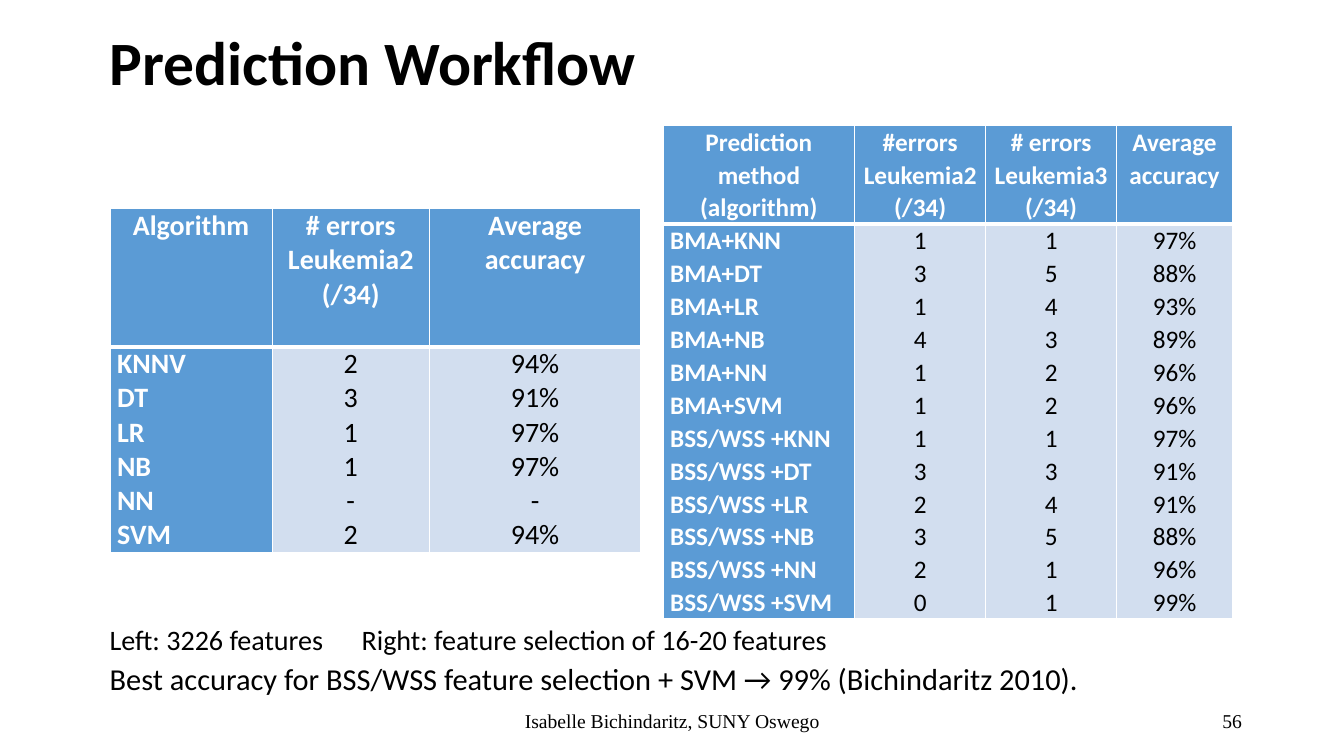
from dataclasses import dataclass

from lxml import etree
from pptx import Presentation
from pptx.dml.color import RGBColor
from pptx.enum.text import MSO_ANCHOR, MSO_AUTO_SIZE, PP_ALIGN
from pptx.oxml.ns import qn
from pptx.util import Cm, Pt

LEFT, CENTER, RIGHT = PP_ALIGN.LEFT, PP_ALIGN.CENTER, PP_ALIGN.RIGHT
TOP, MIDDLE, BOTTOM = MSO_ANCHOR.TOP, MSO_ANCHOR.MIDDLE, MSO_ANCHOR.BOTTOM


@dataclass(frozen=True)
class Theme:
    font: str = "Calibri"
    footer_font: str = "Times New Roman"
    black: str = "000000"
    white: str = "FFFFFF"
    header_fill: str = "5B9BD5"
    value_fill: str = "D2DEEF"
    title_size: float = 44
    caption_size: float = 20.1
    conclusion_size: float = 21.7
    baseline_table_size: float = 20
    selection_table_size: float = 18
    footer_size: float = 14
    thin_border: float = 1
    header_border: float = 3


THEME = Theme()

BASELINE_HEADERS = ["Algorithm", "# errors\nLeukemia2\n(/34)", "Average accuracy"]
BASELINE_ROWS = [
    ("KNNV", "2", "94%"),
    ("DT", "3", "91%"),
    ("LR", "1", "97%"),
    ("NB", "1", "97%"),
    ("NN", "-", "-"),
    ("SVM", "2", "94%"),
]
SELECTION_HEADERS = [
    "Prediction method (algorithm)",
    "#errors\nLeukemia2\n(/34)",
    "# errors\nLeukemia3\n(/34)",
    "Average accuracy",
]
SELECTION_ROWS = [
    ("BMA+KNN", "1", "1", "97%"),
    ("BMA+DT", "3", "5", "88%"),
    ("BMA+LR", "1", "4", "93%"),
    ("BMA+NB", "4", "3", "89%"),
    ("BMA+NN", "1", "2", "96%"),
    ("BMA+SVM", "1", "2", "96%"),
    ("BSS/WSS +KNN", "1", "1", "97%"),
    ("BSS/WSS +DT", "3", "3", "91%"),
    ("BSS/WSS +LR", "2", "4", "91%"),
    ("BSS/WSS +NB", "3", "5", "88%"),
    ("BSS/WSS +NN", "2", "1", "96%"),
    ("BSS/WSS +SVM", "0", "1", "99%"),
]


def place(shape, left, top, width, height):
    shape.left, shape.top = Cm(left), Cm(top)
    shape.width, shape.height = Cm(width), Cm(height)


def format_paragraph(paragraph, size, color=THEME.black, bold=False,
                     font=THEME.font, align=LEFT, line_spacing=1.0):
    paragraph.alignment = align
    paragraph.line_spacing = line_spacing
    for run in paragraph.runs:
        run.font.name = font
        run.font.size = Pt(size)
        run.font.bold = bold
        run.font.color.rgb = RGBColor.from_string(color)


def set_frame(text_frame, anchor):
    text_frame.word_wrap = True
    text_frame.auto_size = MSO_AUTO_SIZE.NONE
    text_frame.vertical_anchor = anchor


def fill_title(title, text):
    place(title, 2.51, 0, 29.03, 2.62)
    title.text_frame.text = text
    set_frame(title.text_frame, BOTTOM)
    format_paragraph(title.text_frame.paragraphs[0], THEME.title_size,
                     bold=True, line_spacing=0.9)


def remove_bullet(paragraph, tab_position):
    """Drop bullet and indent, and set one left tab stop."""
    properties = paragraph._p.get_or_add_pPr()
    properties.set("marL", "0")
    properties.set("indent", "0")
    etree.SubElement(properties, qn("a:buNone"))
    tabs = etree.SubElement(properties, qn("a:tabLst"))
    etree.SubElement(tabs, qn("a:tab"), pos=str(tab_position), algn="l")


def fill_body(body, lines):
    place(body, 2.51, 15.8, 31.34, 1.88)
    body.text_frame.text = "\n".join(text for text, _ in lines)
    set_frame(body.text_frame, TOP)
    for paragraph, (_, size) in zip(body.text_frame.paragraphs, lines):
        format_paragraph(paragraph, size, line_spacing=0.7)
        paragraph.space_before = Pt(10)
        remove_bullet(paragraph, Cm(14.12))


def add_footer_text(slide, text, left, width, align):
    box = slide.shapes.add_textbox(Cm(left), Cm(17.65), Cm(width), Cm(1.02))
    box.text_frame.text = text
    set_frame(box.text_frame, MIDDLE)
    format_paragraph(box.text_frame.paragraphs[0], THEME.footer_size,
                     font=THEME.footer_font, align=align)


def set_borders(cell, bottom_width, top_width):
    properties = cell._tc.get_or_add_tcPr()
    widths = {"a:lnL": THEME.thin_border, "a:lnR": THEME.thin_border,
              "a:lnT": top_width, "a:lnB": bottom_width}
    for side, width in widths.items():
        line = etree.SubElement(properties, qn(side), w=str(Pt(width)))
        fill = etree.SubElement(line, qn("a:solidFill"))
        etree.SubElement(fill, qn("a:srgbClr"), val=THEME.white)


def fill_cell(cell, text, is_header, is_label, size, line_spacing):
    emphasized = is_header or is_label
    cell.margin_left = cell.margin_right = Cm(0.18)
    cell.margin_top = cell.margin_bottom = 0
    cell.vertical_anchor = TOP
    set_borders(cell,
                THEME.header_border if is_header else THEME.thin_border,
                THEME.thin_border if is_header else THEME.header_border)
    cell.fill.solid()
    cell.fill.fore_color.rgb = RGBColor.from_string(
        THEME.header_fill if emphasized else THEME.value_fill)
    cell.text_frame.text = text
    for paragraph in cell.text_frame.paragraphs:
        format_paragraph(paragraph, size,
                         color=THEME.white if emphasized else THEME.black,
                         bold=emphasized,
                         align=CENTER if is_header or not is_label else LEFT,
                         line_spacing=line_spacing)


def add_results_table(slide, headers, rows, left, top, widths, heights,
                      size, line_spacing=1.0):
    """Add a header row and one tall row whose cells list a column's results."""
    frame = slide.shapes.add_table(2, len(headers), Cm(left), Cm(top),
                                   Cm(sum(widths)), Cm(sum(heights)))
    table = frame.table
    table.first_row = table.horz_banding = False
    for row, height in zip(table.rows, heights):
        row.height = Cm(height)
    for index, (header, values, width) in enumerate(zip(headers, zip(*rows), widths)):
        table.columns[index].width = Cm(width)
        for row_index, text in enumerate((header, "\n".join(values))):
            fill_cell(table.cell(row_index, index), text, row_index == 0,
                      index == 0, size, line_spacing)


def main():
    presentation = Presentation()
    presentation.slide_width, presentation.slide_height = Cm(33.87), Cm(19.05)
    slide = presentation.slides.add_slide(presentation.slide_layouts[1])

    fill_title(slide.shapes.title, "Prediction Workflow")
    fill_body(slide.placeholders[1], [
        ("Left: 3226 features\tRight: feature selection of 16-20 features",
         THEME.caption_size),
        ("Best accuracy for BSS/WSS feature selection + SVM → 99% (Bichindaritz 2010).",
         THEME.conclusion_size),
    ])
    add_results_table(slide, SELECTION_HEADERS, SELECTION_ROWS, 16.71, 3.15,
                      [4.83, 3.3, 3.3, 2.92], [2.41, 9.68],
                      THEME.selection_table_size, line_spacing=1.07)
    add_results_table(slide, BASELINE_HEADERS, BASELINE_ROWS, 2.77, 5.26,
                      [4.09, 3.96, 5.33], [3.48, 5.08],
                      THEME.baseline_table_size)
    add_footer_text(slide, "Isabelle Bichindaritz, SUNY Oswego", 11.23, 11.43, CENTER)
    add_footer_text(slide, "56", 23.93, 7.62, RIGHT)

    presentation.save("out.pptx")


if __name__ == "__main__":
    main()
